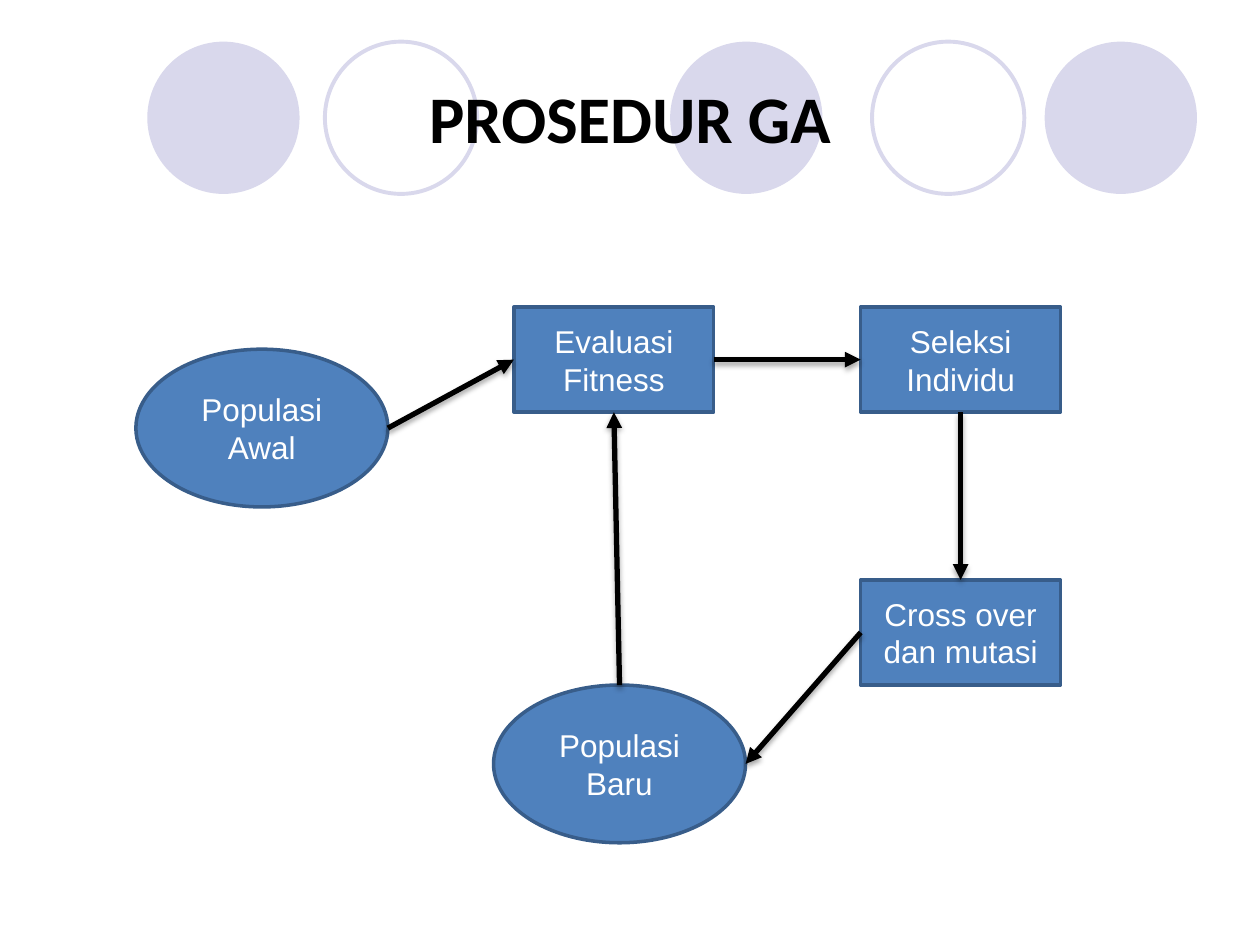
"""Build the slide on the genetic algorithm procedure."""
from lxml import etree
from pptx import Presentation
from pptx import util as u
from pptx.dml.color import RGBColor
from pptx.enum import shapes, text
from pptx.oxml import parse_xml
from pptx.oxml.ns import nsdecls, qn

HUES = {"pale": "D9D8EC", "blue": "4F81BD", "edge": "385D8A",
        "ink": "000000", "white": "FFFFFF"}
TITLE = "PROSEDUR GA"
DOTS = [(2.97, True), (6.55, False), (13.51, True), (17.58, False), (21.06, True)]
DOT_TOP, DOT_SIZE = 0.84, 3.07
SIZES = {"OVAL": (5.08, 3.18), "RECTANGLE": (4.03, 2.12)}
STEPS = {
    "start": ("Populasi Awal", "OVAL", 2.74, 7.04),
    "rate": ("Evaluasi Fitness", "RECTANGLE", 10.36, 6.19),
    "pick": ("Seleksi Individu", "RECTANGLE", 17.35, 6.19),
    "cross": ("Cross over dan mutasi", "RECTANGLE", 17.35, 11.69),
    "new": ("Populasi Baru", "OVAL", 9.95, 13.81),
}
LINKS = [("start", "right", "rate", "left"), ("rate", "right", "pick", "left"),
         ("cross", "left", "new", "right"), ("pick", "bottom", "cross", "top"),
         ("new", "top", "rate", "bottom")]
SIDES = {"left": (0, 0.5), "right": (1, 0.5), "top": (0.5, 0), "bottom": (0.5, 1)}
SHADOW = (
    f'<a:effectLst {nsdecls("a")}><a:outerShdw blurRad="39370" dist="22860" '
    'dir="5400000" rotWithShape="0"><a:srgbClr val="000000">'
    '<a:alpha val="35000"/></a:srgbClr></a:outerShdw></a:effectLst>')


def rgb(name):
    return RGBColor.from_string(HUES[name])


def style(item, **values):
    for key, value in values.items():
        setattr(item, key, value)


def write(shape, words, size, face, hue, bold=False):
    frame = shape.text_frame
    frame.text = words
    style(frame, word_wrap=True, auto_size=text.MSO_AUTO_SIZE.NONE,
          vertical_anchor=text.MSO_ANCHOR.MIDDLE)
    para = frame.paragraphs[0]
    para.alignment = text.PP_ALIGN.CENTER
    font = para.runs[0].font
    style(font, size=u.Pt(size), name=face, bold=bold)
    font.color.rgb = rgb(hue)


def draw(slide, kind, box, fill, edge, width):
    shape = slide.shapes.add_shape(
        getattr(shapes.MSO_SHAPE, kind), *map(u.Cm, box))
    shape.shadow.inherit = False
    for part, hue in ((shape.fill, fill), (shape.line.fill, edge)):
        if hue:
            part.solid()
            part.fore_color.rgb = rgb(hue)
        else:
            part.background()
    if edge:
        shape.line.width = u.Pt(width)
    return shape


def spot(step, side):
    _, kind, left, top = STEPS[step]
    wide, high = SIZES[kind]
    across, down = SIDES[side]
    return u.Cm(left + wide * across), u.Cm(top + high * down)


def link(slide, start, leave, end, enter):
    arrow = slide.shapes.add_connector(
        shapes.MSO_CONNECTOR.STRAIGHT, *spot(start, leave), *spot(end, enter))
    arrow.line.width = u.Pt(3)
    arrow.line.color.rgb = rgb("ink")
    props = arrow.element.spPr
    etree.SubElement(props.find(qn("a:ln")), qn("a:tailEnd"), type="triangle")
    props.append(parse_xml(SHADOW))


def main():
    deck = Presentation()
    style(deck, slide_width=u.Cm(25.4), slide_height=u.Cm(19.05))
    slide = deck.slides.add_slide(deck.slide_layouts[5])
    for left, full in DOTS:
        draw(slide, "OVAL", (left, DOT_TOP, DOT_SIZE, DOT_SIZE),
             "pale" if full else None, None if full else "pale", 2.25)
    title = slide.shapes.title
    style(title, left=u.Cm(1.27), top=u.Cm(0.76),
          width=u.Cm(22.86), height=u.Cm(3.18))
    write(title, TITLE, 38, "Calibri", "ink", True)
    slide.shapes.element.append(title.element)
    for words, kind, left, top in STEPS.values():
        shape = draw(slide, kind, (left, top, *SIZES[kind]), "blue", "edge", 2)
        write(shape, words, 18, "Arial", "white")
    for ends in LINKS:
        link(slide, *ends)
    deck.save("out.pptx")


if __name__ == "__main__":
    main()
